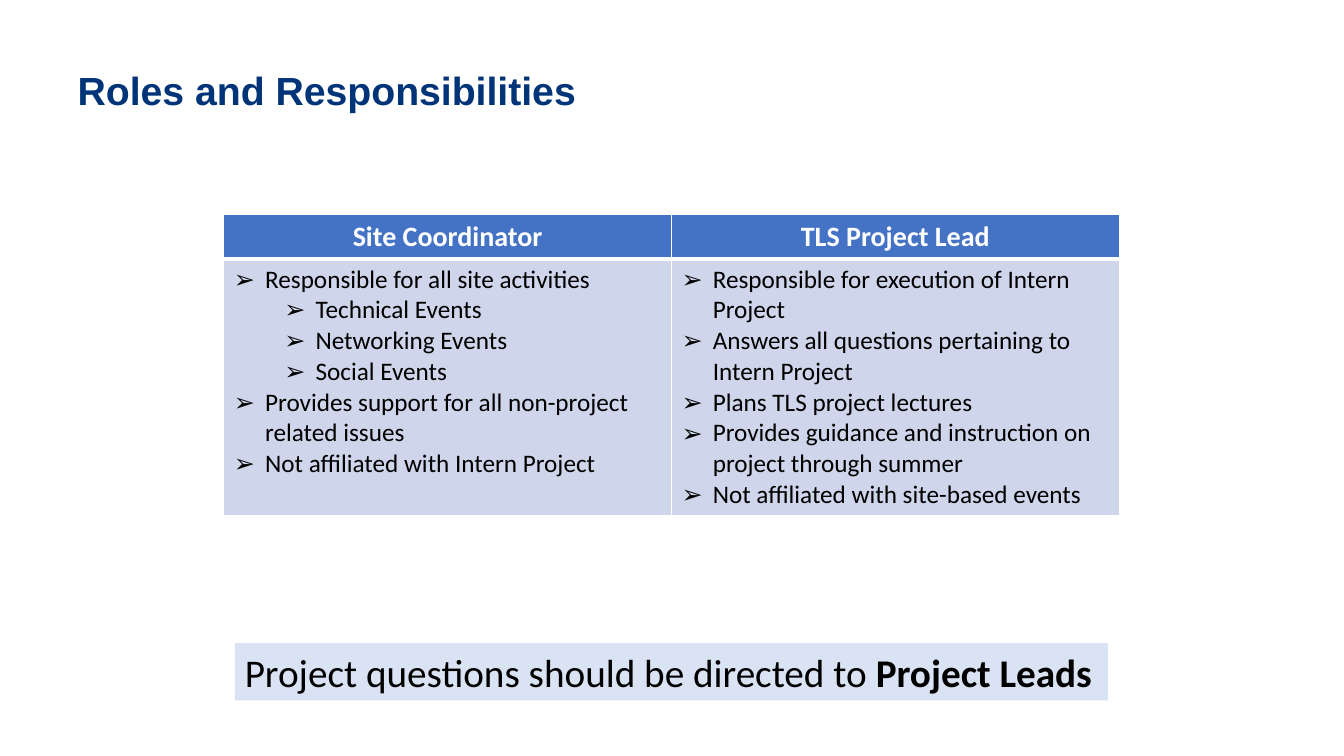
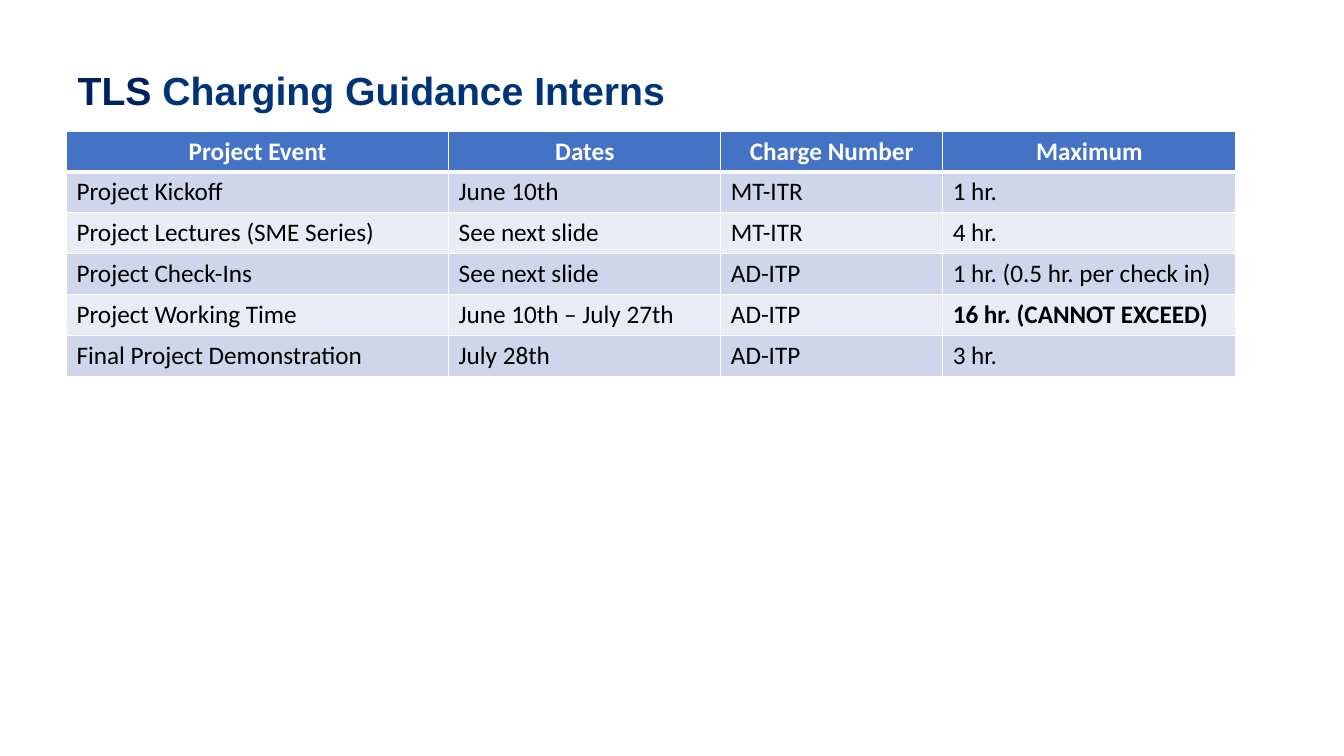
from dataclasses import dataclass

from lxml.etree import SubElement
from pptx import Presentation
from pptx.dml.color import RGBColor
from pptx.enum.shapes import MSO_SHAPE
from pptx.enum.text import MSO_ANCHOR, MSO_AUTO_SIZE, PP_ALIGN
from pptx.oxml.ns import qn
from pptx.util import Inches, Pt

NAVY = RGBColor(0x00, 0x34, 0x78)
DARK_NAVY = RGBColor(0x00, 0x20, 0x60)
BLUE = RGBColor(0x44, 0x72, 0xC4)
BAND_DARK = RGBColor(0xCF, 0xD5, 0xEA)
BAND_LIGHT = RGBColor(0xE9, 0xEB, 0xF5)
PALE_BLUE = RGBColor(0xDA, 0xE3, 0xF3)
WHITE = RGBColor(0xFF, 0xFF, 0xFF)
BLACK = RGBColor(0x00, 0x00, 0x00)

HEADING_FONT = "Arial"
BODY_FONT = "Calibri"
BULLET = "➢"
BULLET_INDENT = 0.31
LEVEL_STEP = 0.5


@dataclass(frozen=True)
class Item:
    """One paragraph of a table cell; level None means no bullet."""
    text: str
    level: int | None = None
    bold: bool = False


@dataclass(frozen=True)
class Grid:
    left: float
    top: float
    col_widths: list[float]
    row_heights: list[float]
    headers: list[str]
    rows: list[list[list[Item]]]
    header_size: int


ROLES = Grid(
    2.22, 2.13, [4.44, 4.44], [0.43, 2.54],
    ["Site Coordinator", "TLS Project Lead"],
    [[
        [
            Item("Responsible for all site activities", 0),
            Item("Technical Events", 1),
            Item("Networking Events", 1),
            Item("Social Events", 1),
            Item("Provides support for all non-project related issues", 0),
            Item("Not affiliated with Intern Project", 0),
        ],
        [
            Item("Responsible for execution of Intern Project", 0),
            Item("Answers all questions pertaining to Intern Project", 0),
            Item("Plans TLS project lectures", 0),
            Item("Provides guidance and instruction on project through summer", 0),
            Item("Not affiliated with site-based events", 0),
        ],
    ]],
    header_size=20,
)

CHARGES = [
    ["Project Kickoff", "June 10th", "MT-ITR", "1 hr."],
    ["Project Lectures (SME Series)", "See next slide", "MT-ITR", "4 hr."],
    ["Project Check-Ins", "See next slide", "AD-ITP", "1 hr. (0.5 hr. per check in)"],
    ["Project Working Time", "June 10th – July 27th", "AD-ITP", "16 hr. (CANNOT EXCEED)"],
    ["Final Project Demonstration", "July 28th", "AD-ITP", "3 hr."],
]
CHARGING = Grid(
    0.66, 1.3, [3.79, 2.7, 2.2, 2.91], [0.405] * (len(CHARGES) + 1),
    ["Project Event", "Dates", "Charge Number", "Maximum"],
    [[[Item(text, bold="CANNOT" in text)] for text in row] for row in CHARGES],
    header_size=18,
)


def add_run(p, text: str, *, size: int = 18, color: RGBColor = BLACK,
            bold: bool = False, font: str = BODY_FONT) -> None:
    r = p.add_run()
    r.text = text
    r.font.name = font
    r.font.size = Pt(size)
    r.font.bold = bold
    r.font.color.rgb = color


def add_titled_slide(prs, *parts: tuple[str, RGBColor]):
    s = prs.slides.add_slide(prs.slide_layouts[5])
    title = s.shapes.title
    title.left, title.top = Inches(0.67), Inches(0.55)
    title.width, title.height = Inches(12.01), Inches(0.75)
    tf = title.text_frame
    tf.auto_size = MSO_AUTO_SIZE.NONE
    tf.vertical_anchor = MSO_ANCHOR.MIDDLE
    p = tf.paragraphs[0]
    p.alignment = PP_ALIGN.LEFT
    p.line_spacing = 0.9
    for text, color in parts:
        add_run(p, text, size=28, color=color, bold=True, font=HEADING_FONT)
    return s


def set_bullet(p, level: int) -> None:
    p.level = level
    pPr = p._p.get_or_add_pPr()
    pPr.set("marL", str(Inches(BULLET_INDENT + LEVEL_STEP * level)))
    pPr.set("indent", str(-Inches(BULLET_INDENT)))
    SubElement(pPr, qn("a:buFont"), typeface=HEADING_FONT)
    SubElement(pPr, qn("a:buChar"), char=BULLET)


def style_cell(cell, fill: RGBColor, *, top: int = 1, bottom: int = 1) -> None:
    """Give a cell its fill and white borders, with widths in points."""
    tcPr = cell._tc.get_or_add_tcPr()
    for side, width in (("L", 1), ("R", 1), ("T", top), ("B", bottom)):
        ln = SubElement(tcPr, qn(f"a:ln{side}"), w=str(Pt(width)))
        solid = SubElement(ln, qn("a:solidFill"))
        SubElement(solid, qn("a:srgbClr"), val=str(WHITE))
    cell.fill.solid()
    cell.fill.fore_color.rgb = fill


def add_grid(s, grid: Grid) -> None:
    table = s.shapes.add_table(
        len(grid.row_heights), len(grid.col_widths),
        Inches(grid.left), Inches(grid.top),
        Inches(sum(grid.col_widths)), Inches(sum(grid.row_heights))).table
    for column, width in zip(table.columns, grid.col_widths):
        column.width = Inches(width)
    for row, height in zip(table.rows, grid.row_heights):
        row.height = Inches(height)

    for col, header in enumerate(grid.headers):
        cell = table.cell(0, col)
        style_cell(cell, BLUE, bottom=3)
        p = cell.text_frame.paragraphs[0]
        p.alignment = PP_ALIGN.CENTER
        add_run(p, header, size=grid.header_size, color=WHITE, bold=True)

    for row, contents in enumerate(grid.rows, start=1):
        for col, items in enumerate(contents):
            cell = table.cell(row, col)
            style_cell(cell, BAND_DARK if row % 2 else BAND_LIGHT,
                       top=3 if row == 1 else 1)
            tf = cell.text_frame
            for i, item in enumerate(items):
                p = tf.add_paragraph() if i else tf.paragraphs[0]
                if item.level is not None:
                    set_bullet(p, item.level)
                add_run(p, item.text, bold=item.bold)


def add_callout(s, text: str, emphasis: str) -> None:
    sp = s.shapes.add_shape(MSO_SHAPE.RECTANGLE, Inches(2.33), Inches(6.38),
                            Inches(8.66), Inches(0.57))
    sp.shadow.inherit = False
    sp.fill.solid()
    sp.fill.fore_color.rgb = PALE_BLUE
    sp.line.fill.background()
    tf = sp.text_frame
    tf.word_wrap = False
    tf.auto_size = MSO_AUTO_SIZE.SHAPE_TO_FIT_TEXT
    tf.vertical_anchor = MSO_ANCHOR.TOP
    p = tf.paragraphs[0]
    p.alignment = PP_ALIGN.LEFT
    add_run(p, text, size=28)
    add_run(p, emphasis, size=28, bold=True)


def main() -> None:
    prs = Presentation()
    prs.slide_width, prs.slide_height = Inches(13.33), Inches(7.5)

    s = add_titled_slide(prs, ("Roles and Responsibilities", NAVY))
    add_grid(s, ROLES)
    add_callout(s, "Project questions should be directed to ", "Project Leads")

    s = add_titled_slide(prs, ("TLS", DARK_NAVY), (" Charging Guidance Interns", NAVY))
    add_grid(s, CHARGING)

    prs.save("out.pptx")


if __name__ == "__main__":
    main()
